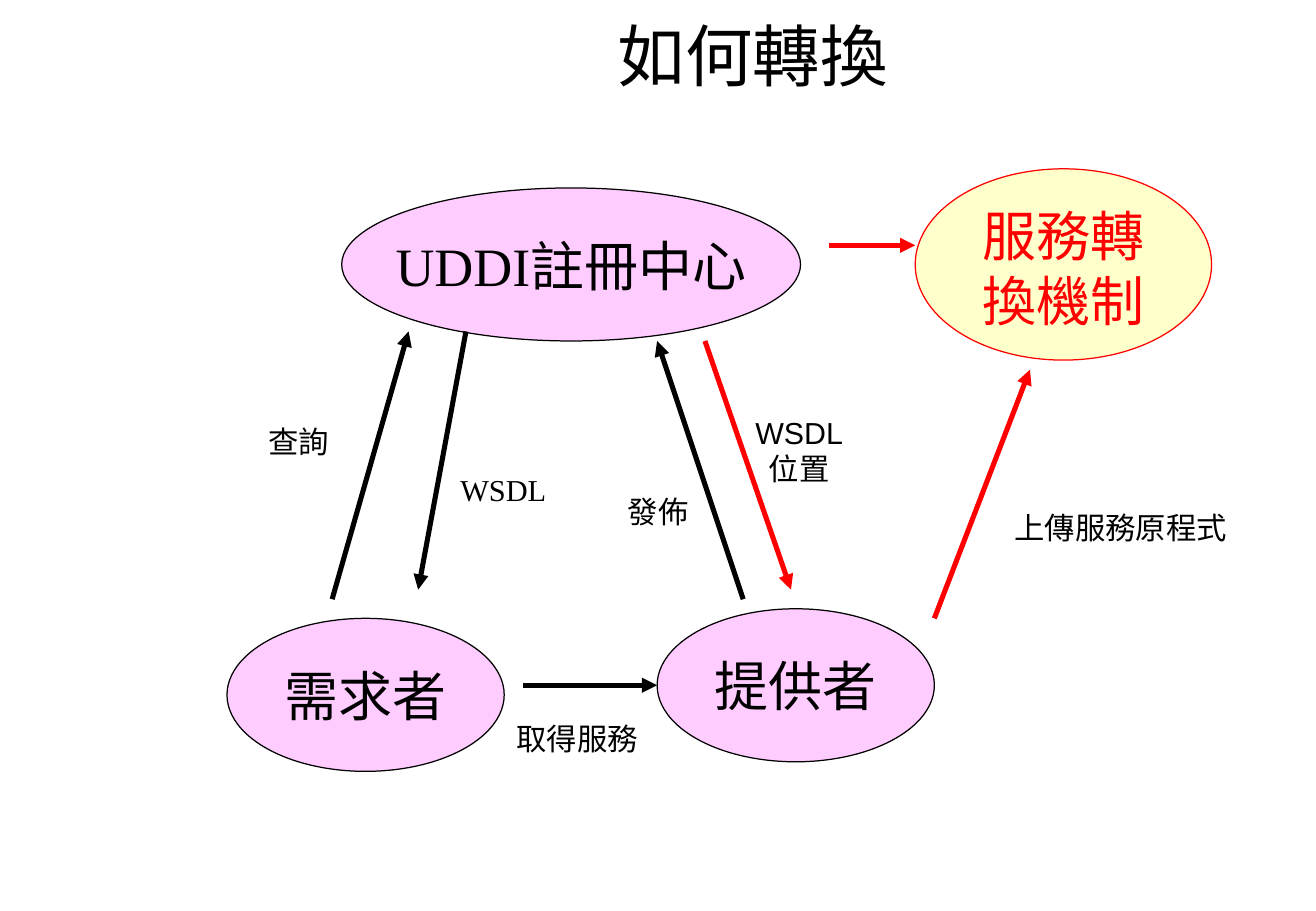
import pptx
import pptx.dml.color
import pptx.enum.shapes
import pptx.enum.text
import pptx.oxml
import pptx.oxml.ns
import pptx.util

COLORS = {"black": "000000", "red": "FF0000", "pink": "FFCCFF", "cream": "FFFFCC"}
SERIF, SANS = "Times New Roman", "Arial"
STEP = pptx.util.Cm(0.2)  # grid step of the diagram
LEFT, TOP = pptx.util.Inches(1.87), pptx.util.Inches(1.39)
MIDDLE = pptx.enum.text.MSO_ANCHOR.MIDDLE
UPPER = pptx.enum.text.MSO_ANCHOR.TOP


def rgb(name):
    return pptx.dml.color.RGBColor.from_string(COLORS[name])


def write(sp, lines, size, font, color="black", anchor=UPPER, wrap=False):
    """Fill a shape with centred lines, one paragraph each."""
    tf = sp.text_frame
    tf.word_wrap = wrap
    tf.vertical_anchor = anchor
    for i, line in enumerate(lines):
        p = tf.add_paragraph() if i else tf.paragraphs[0]
        p.alignment = pptx.enum.text.PP_ALIGN.CENTER
        r = p.add_run()
        r.text = line
        r.font.size = pptx.util.Pt(size)
        r.font.name = font
        r.font.color.rgb = rgb(color)


prs = pptx.Presentation()
prs.slide_width = pptx.util.Inches(10.84)
prs.slide_height = pptx.util.Inches(7.5)
s = prs.slides.add_slide(prs.slide_layouts[6])

title = s.shapes.add_textbox(
    int(prs.slide_width * 0.187), int(prs.slide_height * 0.01),
    int(prs.slide_width * 0.77), int(prs.slide_height * 0.1))
write(title, ["如何轉換"], 40, SERIF, anchor=MIDDLE, wrap=True)

# text, column, row, columns, rows, fill, line and text colour, anchor, wrap
roles = [
    ("UDDI註冊中心", 12, 2, 48, 16, "pink", "black", MIDDLE, False),
    ("需求者", 0, 47, 29, 16, "pink", "black", MIDDLE, False),
    ("提供者", 45, 46, 29, 16, "pink", "black", MIDDLE, False),
    ("服務轉換機制", 72, 0, 31, 20, "cream", "red", UPPER, True),
]
for text, col, row, cols, rows, fill, ink, anchor, wrap in roles:
    sp = s.shapes.add_shape(
        pptx.enum.shapes.MSO_SHAPE.OVAL,
        LEFT + col * STEP, TOP + row * STEP, cols * STEP, rows * STEP)
    sp.shadow.inherit = False
    sp.fill.solid()
    sp.fill.fore_color.rgb = rgb(fill)
    sp.line.color.rgb = rgb(ink)
    sp.line.width = pptx.util.Pt(0.75)
    write(sp, [text], 32, SERIF, ink, anchor, wrap)

# start column and row, end column and row, colour
arrows = [
    (25, 17, 20, 44, "black"),
    (11, 45, 19, 17, "black"),
    (31, 54, 45, 54, "black"),
    (54, 45, 45, 18, "black"),
    (50, 18, 59, 44, "red"),
    (63, 8, 72, 8, "red"),
    (74, 47, 84, 21, "red"),
]
for x1, y1, x2, y2, color in arrows:
    arrow = s.shapes.add_connector(
        pptx.enum.shapes.MSO_CONNECTOR.STRAIGHT,
        LEFT + x1 * STEP, TOP + y1 * STEP, LEFT + x2 * STEP, TOP + y2 * STEP)
    arrow.line.color.rgb = rgb(color)
    arrow.line.width = pptx.util.Pt(3)
    ln = arrow.line._get_or_add_ln()
    tail = pptx.oxml.parse_xml(
        f'<a:tailEnd {pptx.oxml.ns.nsdecls("a")} type="triangle"/>')
    ln.append(tail)
    effects = pptx.oxml.parse_xml(f'<a:effectLst {pptx.oxml.ns.nsdecls("a")}/>')
    ln.addnext(effects)

# lines, column, row, columns, rows, font
labels = [
    (["WSDL"], 23.1, 31, 11.6, 5, SERIF),
    (["查詢"], 3, 26, 9, 5, SANS),
    (["取得服務"], 29, 57, 15.3, 5, SANS),
    (["發佈"], 40.6, 33.3, 9, 5, SANS),
    (["WSDL", "位置"], 54, 25, 11.7, 9, SANS),
    (["上傳服務原程式"], 81.1, 35, 24.8, 5, SANS),
]
for lines, col, row, cols, rows, font in labels:
    label = s.shapes.add_textbox(
        int(LEFT + col * STEP), int(TOP + row * STEP),
        int(cols * STEP), int(rows * STEP))
    write(label, lines, 18, font)

prs.save("out.pptx")
